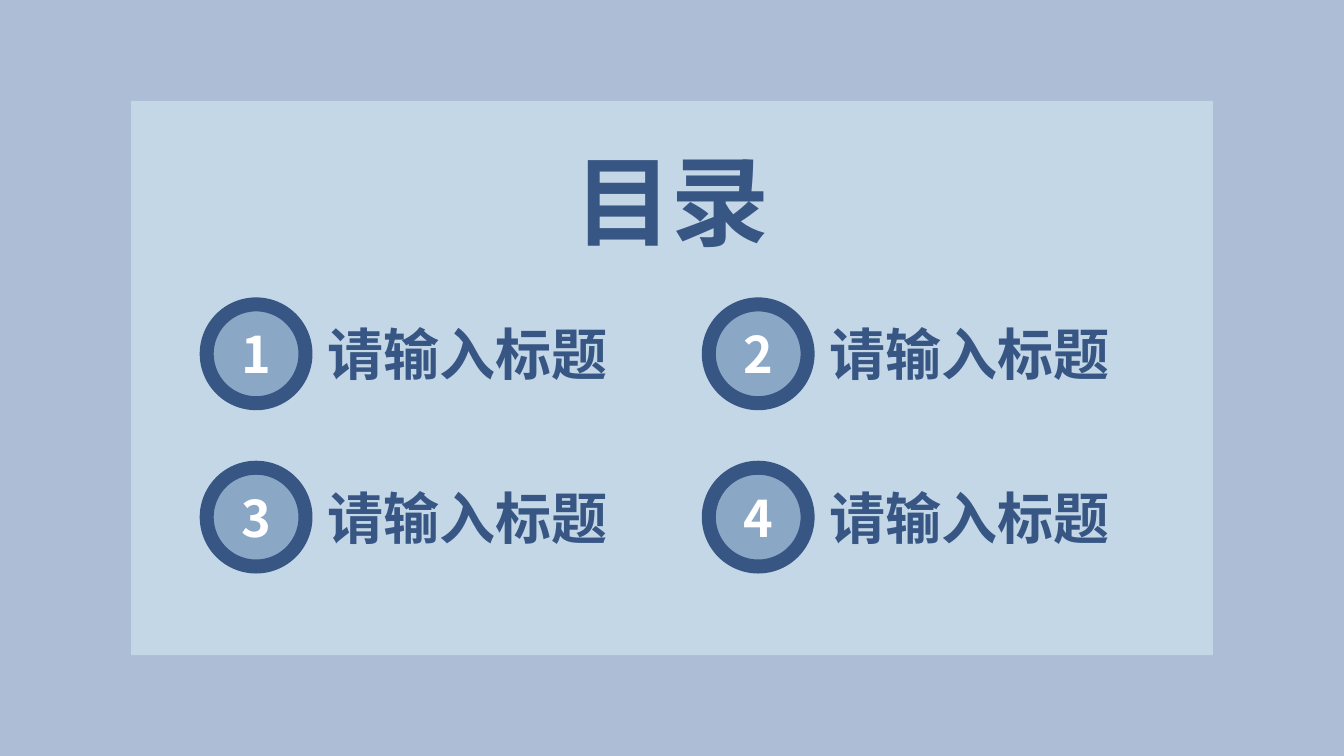
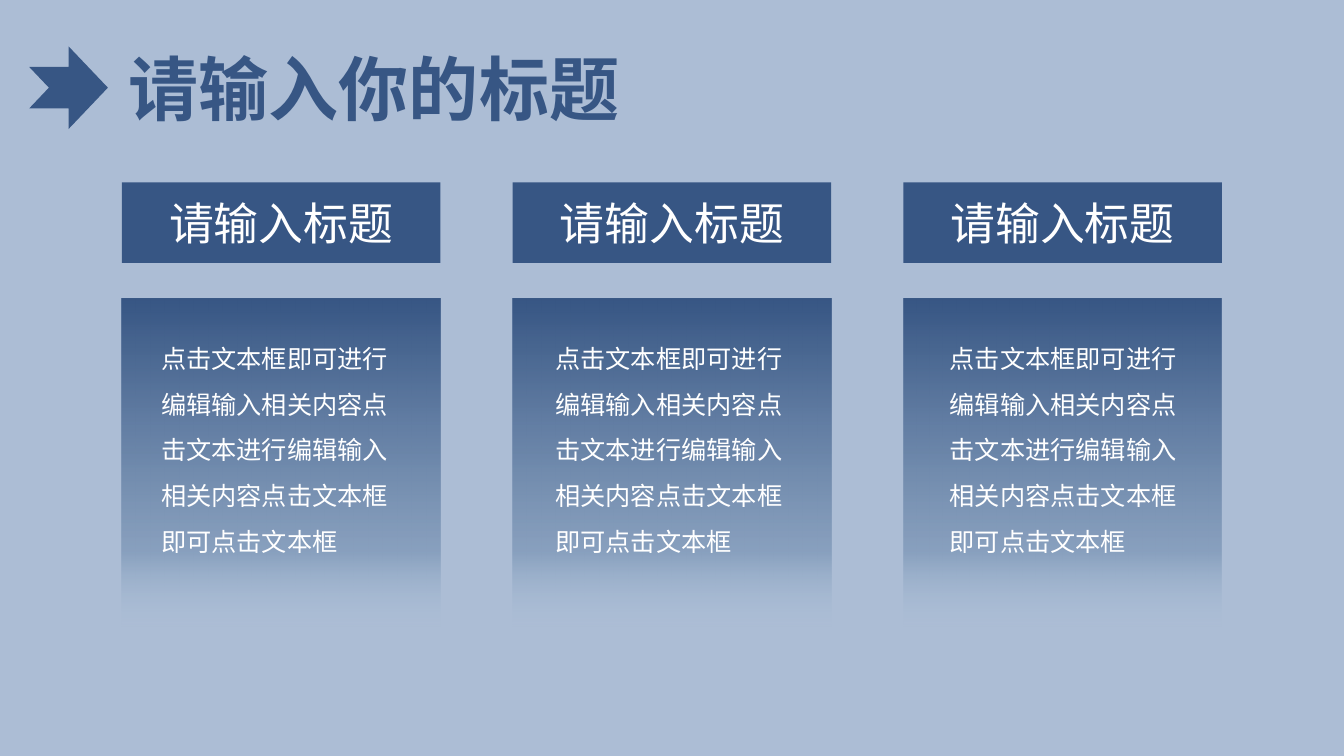
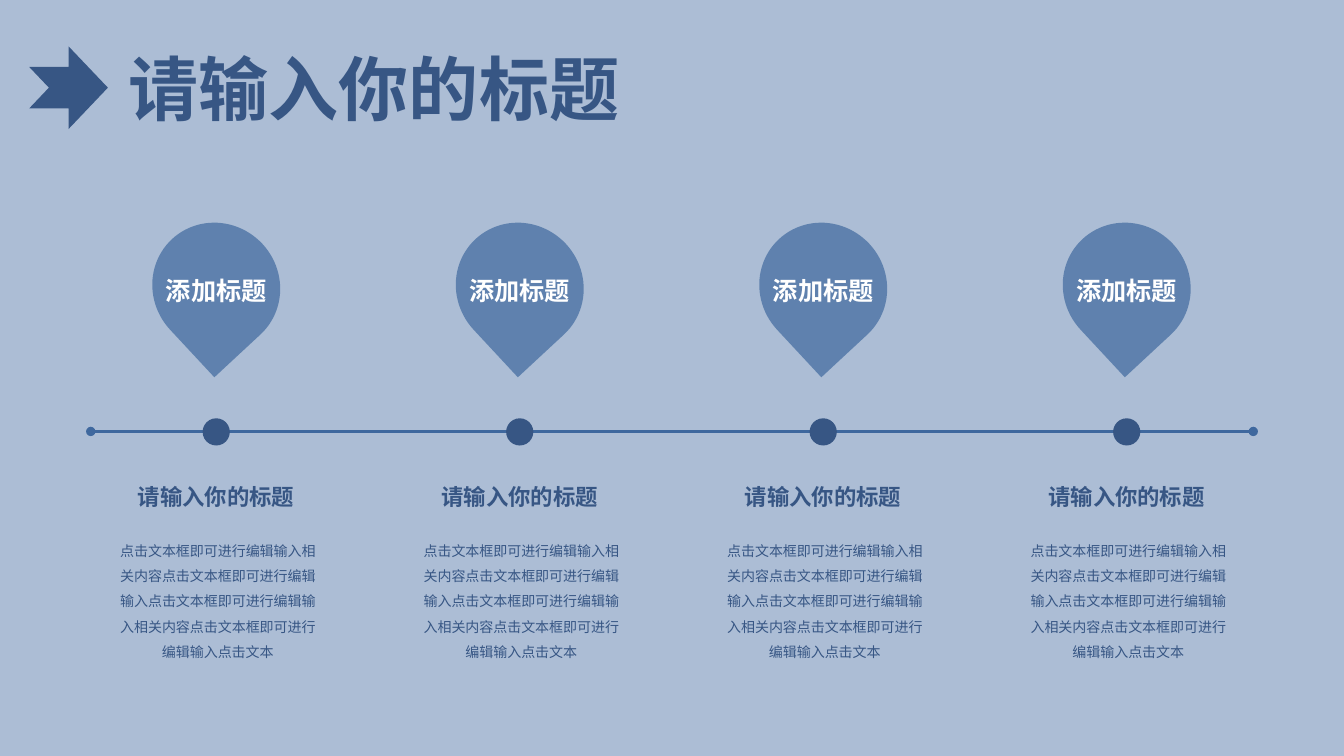
from lxml import etree
from pptx import Presentation
from pptx.dml.color import RGBColor
from pptx.enum import shapes, text
from pptx.oxml.ns import qn
from pptx.util import Inches, Pt

NAVY = RGBColor(0x37, 0x56, 0x84)
BLUE = RGBColor(0x3F, 0x68, 0x9E)
PALE = RGBColor(0xCF, 0xE3, 0xEE)
WHITE = RGBColor(0xFF, 0xFF, 0xFF)
# position, colour, opacity (all percentages but the colour)
CARD_FADE = [(0, NAVY, 100), (70, RGBColor(0x83, 0x9C, 0xBB), 83),
             (90, RGBColor(0xA9, 0xBF, 0xD7), 0),
             (100, RGBColor(0xCE, 0xE1, 0xF2), 0)]

LATIN = "Calibri"
CJK = "Noto Sans CJK SC"
WIDTH, HEIGHT = 13.33, 7.5
LEFT, CENTER = text.PP_ALIGN.LEFT, text.PP_ALIGN.CENTER
TOP, MIDDLE = text.MSO_ANCHOR.TOP, text.MSO_ANCHOR.MIDDLE
SHAPE = shapes.MSO_SHAPE

ITEM_TITLE = "请输入标题"
SLIDE_TITLE = "请输入你的标题"
CARD_BODY = ("点击文本框即可进行编辑输入相关内容点击文本进行编辑输入"
             "相关内容点击文本框即可点击文本框")
STEP_BODY = ("点击文本框即可进行编辑输入相关内容点击文本框即可进行编辑输入"
             "点击文本框即可进行编辑输入相关内容点击文本框即可进行编辑输入点击文本")


def set_alpha(color_element, opacity):
    alpha = etree.SubElement(color_element, qn("a:alpha"))
    alpha.set("val", str(opacity * 1000))


def write(shape, words, size, color, bold=False, font=CJK, align=CENTER,
          anchor=MIDDLE, wrap=True, line_points=None):
    frame = shape.text_frame
    frame.word_wrap = wrap
    frame.vertical_anchor = anchor
    paragraph = frame.paragraphs[0]
    paragraph.alignment = align
    if line_points:
        paragraph.line_spacing = Pt(line_points)
    run = paragraph.add_run()
    run.text = words
    run.font.size = Pt(size)
    run.font.bold = bold
    run.font.color.rgb = color
    run.font.name = font
    east_asian = etree.SubElement(run.font._element, qn("a:ea"))
    east_asian.set("typeface", CJK)


def add_text(slide, box, words, size, color, **style):
    label = slide.shapes.add_textbox(*map(Inches, box))
    write(label, words, size, color, **style)


def add_block(slide, kind, box, fill, opacity=100, outline=None):
    """Add a preset shape; outline is a width in points, drawn in navy."""
    block = slide.shapes.add_shape(kind, *map(Inches, box))
    block.shadow.inherit = False
    block.fill.solid()
    block.fill.fore_color.rgb = fill
    if opacity < 100:
        set_alpha(block._element.spPr.find(qn("a:solidFill"))[0], opacity)
    if outline:
        block.line.color.rgb = NAVY
        block.line.width = Pt(outline)
    else:
        block.line.fill.background()
    return block


def fade_down(block, stops):
    block.fill.gradient()
    block.fill.gradient_angle = 270
    stop_list = block._element.spPr.find(qn("a:gradFill")).find(qn("a:gsLst"))
    for old_stop in list(stop_list):
        stop_list.remove(old_stop)
    for position, color, opacity in stops:
        stop = etree.SubElement(stop_list, qn("a:gs"))
        stop.set("pos", str(position * 1000))
        color_element = etree.SubElement(stop, qn("a:srgbClr"))
        color_element.set("val", str(color))
        set_alpha(color_element, opacity)


def add_timeline(slide, left, right, y):
    axis = slide.shapes.add_connector(
        shapes.MSO_CONNECTOR.STRAIGHT,
        Inches(left), Inches(y), Inches(right), Inches(y))
    axis.line.color.rgb = BLUE
    axis.line.width = Pt(2.25)
    for end in ("a:headEnd", "a:tailEnd"):
        etree.SubElement(axis.line._ln, qn(end)).set("type", "oval")
    etree.SubElement(axis._element.spPr, qn("a:effectLst"))


def new_slide(deck, title=None):
    """Start a slide on the tinted ground, with the arrow heading if titled."""
    slide = deck.slides.add_slide(deck.slide_layouts[6])
    add_block(slide, SHAPE.RECTANGLE, (0, 0, WIDTH, HEIGHT), BLUE, 43)
    if title:
        add_text(slide, (1.18, 0.4, 5.68, 0.94), title, 50, NAVY,
                 bold=True, font=LATIN, align=LEFT)
        add_block(slide, SHAPE.NOTCHED_RIGHT_ARROW,
                  (0.29, 0.46, 0.78, 0.82), NAVY)
    return slide


def contents_slide(deck):
    slide = new_slide(deck)
    add_block(slide, SHAPE.RECTANGLE, (1.3, 1, 10.73, 5.5), PALE, 70)
    add_text(slide, (5.29, 1.34, 2.75, 1.28), "目录", 70, NAVY,
             bold=True, font=LATIN)
    for index in range(4):
        row, column = divmod(index, 2)
        x, y = 2.05 + 4.98 * column, 3.02 + 1.62 * row
        badge = add_block(slide, SHAPE.OVAL, (x, y, 0.98, 0.98), BLUE, 43,
                          outline=10)
        write(badge, str(index + 1), 36, WHITE, bold=True)
        add_text(slide, (x + 1.1, y + 0.1, 3.15, 0.77), ITEM_TITLE, 40, NAVY,
                 bold=True, align=LEFT)


def cards_slide(deck):
    slide = new_slide(deck, SLIDE_TITLE)
    for index in range(3):
        x = 1.21 + 3.875 * index
        banner = add_block(slide, SHAPE.RECTANGLE, (x, 1.81, 3.16, 0.8), NAVY)
        write(banner, ITEM_TITLE, 32, WHITE, font=LATIN)
        card = add_block(slide, SHAPE.RECTANGLE, (x, 2.96, 3.16, 3.61), NAVY)
        fade_down(card, CARD_FADE)
        add_text(slide, (1.5 + 3.91 * index, 3.21, 2.52, 2.37), CARD_BODY,
                 18, WHITE, align=LEFT, anchor=TOP, line_points=32.5)


def timeline_slide(deck):
    slide = new_slide(deck, SLIDE_TITLE)
    add_timeline(slide, 0.9, 12.43, 4.28)
    for index in range(4):
        x = 1.07 + 3.01 * index
        pin = add_block(slide, SHAPE.TEAR, (x + 0.45, 2.2, 1.25, 1.29),
                        BLUE, 70)
        pin.rotation = 137.1
        add_text(slide, (x + 0.47, 2.68, 1.21, 0.4), "添加标题", 18, WHITE,
                 bold=True, wrap=False)
        add_block(slide, SHAPE.OVAL, (x + 0.94, 4.15, 0.27, 0.27), NAVY)
        add_text(slide, (x + 0.2, 4.76, 1.76, 0.34), SLIDE_TITLE, 16, NAVY,
                 bold=True, font=LATIN, align=LEFT, wrap=False)
        add_text(slide, (x, 5.25, 2.18, 1.61), STEP_BODY, 10, NAVY,
                 anchor=TOP, line_points=18)


def main():
    deck = Presentation()
    deck.slide_width, deck.slide_height = Inches(WIDTH), Inches(HEIGHT)
    contents_slide(deck)
    cards_slide(deck)
    timeline_slide(deck)
    deck.save("out.pptx")


if __name__ == "__main__":
    main()
